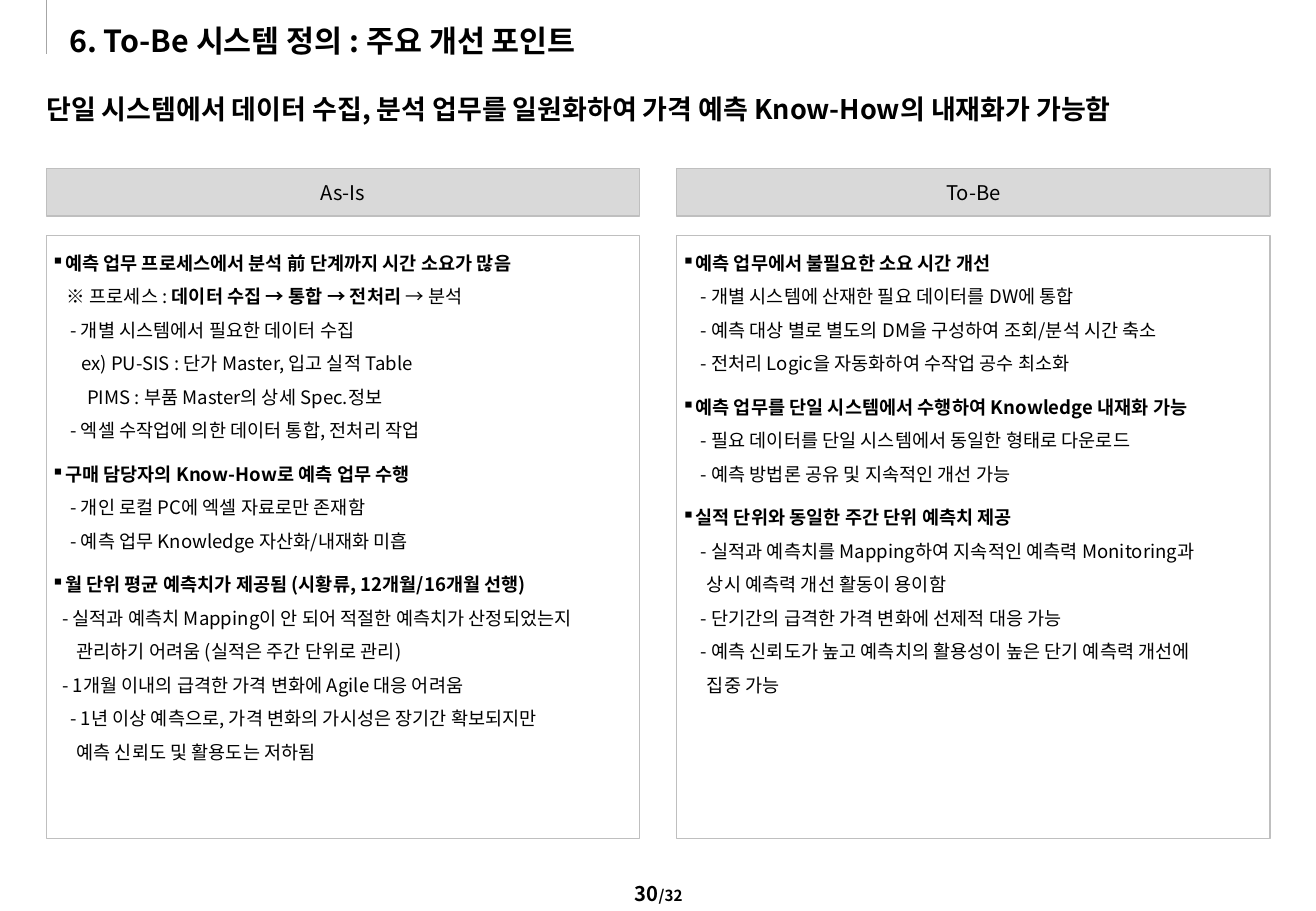
from pptx import Presentation
from pptx.dml.color import RGBColor
from pptx.enum.shapes import MSO_CONNECTOR as Link, MSO_SHAPE as Kind
from pptx.enum.text import MSO_ANCHOR as Anchor, PP_ALIGN as Align
from pptx.oxml.ns import qn
from pptx.util import Cm, Pt
from lxml.etree import SubElement as Sub

BLACK = RGBColor(0x00, 0x00, 0x00)
PALE = RGBColor(0xD9, 0xD9, 0xD9)
EDGE = RGBColor(0xBF, 0xBF, 0xBF)
RULE = RGBColor(0xA6, 0xA6, 0xA6)
FONT = "Noto Sans CJK KR"

LEFT = 0.97
WIDTH = 12.4
STEP = 13.18
HEAD, NOTE, DASH, NEAR, REST = 0, 0.33, 0.4, 0.23, 0.53

panes = [
    ("As-Is", [
        (HEAD, "예측 업무 프로세스에서 분석 前 단계까지 시간 소요가 많음"),
        (NOTE, "※ 프로세스 : ", "데이터 수집 → 통합 → 전처리", " → 분석"),
        (DASH, "- 개별 시스템에서 필요한 데이터 수집"),
        (0.63, "ex) PU-SIS : 단가 Master, 입고 실적 Table"),
        (0.75, "PIMS : 부품 Master의 상세 Spec.정보"),
        (DASH, "- 엑셀 수작업에 의한 데이터 통합, 전처리 작업"),
        (HEAD, "구매 담당자의 Know-How로 예측 업무 수행"),
        (DASH, "- 개인 로컬 PC에 엑셀 자료로만 존재함"),
        (DASH, "- 예측 업무 Knowledge 자산화/내재화 미흡"),
        (HEAD, "월 단위 평균 예측치가 제공됨 (시황류, 12개월/16개월 선행)"),
        (NEAR, "- 실적과 예측치 Mapping이 안 되어 적절한 예측치가 산정되었는지"),
        (REST, "관리하기 어려움 (실적은 주간 단위로 관리)"),
        (NEAR, "- 1개월 이내의 급격한 가격 변화에 Agile 대응 어려움"),
        (DASH, "- 1년 이상 예측으로, 가격 변화의 가시성은 장기간 확보되지만"),
        (REST, "예측 신뢰도 및 활용도는 저하됨"),
    ]),
    ("To-Be", [
        (HEAD, "예측 업무에서 불필요한 소요 시간 개선"),
        (DASH, "- 개별 시스템에 산재한 필요 데이터를 DW에 통합"),
        (DASH, "- 예측 대상 별로 별도의 DM을 구성하여 조회/분석 시간 축소"),
        (DASH, "- 전처리 Logic을 자동화하여 수작업 공수 최소화"),
        (HEAD, "예측 업무를 단일 시스템에서 수행하여 Knowledge 내재화 가능"),
        (DASH, "- 필요 데이터를 단일 시스템에서 동일한 형태로 다운로드"),
        (DASH, "- 예측 방법론 공유 및 지속적인 개선 가능"),
        (HEAD, "실적 단위와 동일한 주간 단위 예측치 제공"),
        (DASH, "- 실적과 예측치를 Mapping하여 지속적인 예측력 Monitoring과"),
        (REST, "상시 예측력 개선 활동이 용이함"),
        (DASH, "- 단기간의 급격한 가격 변화에 선제적 대응 가능"),
        (DASH, "- 예측 신뢰도가 높고 예측치의 활용성이 높은 단기 예측력 개선에"),
        (REST, "집중 가능"),
    ]),
]


def write(para, text, size, bold=False):
    run = para.add_run()
    run.text = text
    run.font.size = Pt(size)
    run.font.bold = bold
    run.font.name = FONT
    run.font.color.rgb = BLACK
    Sub(run.font._element, qn("a:ea"), typeface=FONT)


def frame(shape, pad, anchor):
    body = shape.text_frame
    body.word_wrap = True
    body.vertical_anchor = anchor
    body.margin_left = body.margin_right = Cm(pad)
    body.margin_top = body.margin_bottom = Cm(pad)
    return body


deck = Presentation()
deck.slide_width, deck.slide_height = Cm(27.51), Cm(19.05)
slide = deck.slides.add_slide(deck.slide_layouts[6])
shapes = slide.shapes

bar = shapes.add_connector(Link.STRAIGHT, Cm(LEFT), Cm(0), Cm(LEFT), Cm(1.14))
bar.line.color.rgb = RULE
bar.line.width = Pt(0.75)
Sub(bar._element.spPr, qn("a:effectLst"))

title = shapes.add_textbox(Cm(1.45), Cm(0.46), Cm(18.92), Cm(0.76))
para = frame(title, 0, Anchor.MIDDLE).paragraphs[0]
write(para, "6. To-Be 시스템 정의 : 주요 개선 포인트", 18, True)

lead = shapes.add_textbox(Cm(LEFT), Cm(1.93), Cm(25.6), Cm(1.93))
para = frame(lead, 0, Anchor.TOP).paragraphs[0]
para.line_spacing = Pt(19.2)
write(para, "단일 시스템에서 데이터 수집, 분석 업무를 일원화하여 가격 예측 Know-How의 내재화가 가능함", 16, True)

for col, (name, lines) in enumerate(panes):
    left = Cm(LEFT + col * STEP)
    tab = shapes.add_shape(Kind.FLOWCHART_PROCESS, left, Cm(3.53), Cm(WIDTH), Cm(0.99))
    box = shapes.add_shape(Kind.RECTANGLE, left, Cm(4.93), Cm(WIDTH), Cm(12.6))
    for shape in (tab, box):
        shape.shadow.inherit = False
        shape.line.color.rgb = EDGE
        shape.line.width = Pt(0.75)
    tab.fill.solid()
    tab.fill.fore_color.rgb = PALE
    box.fill.background()

    para = frame(tab, 0.1, Anchor.MIDDLE).paragraphs[0]
    para.alignment = Align.CENTER
    write(para, name, 12)

    body = frame(box, 0.1, Anchor.TOP)
    for row, (dent, *parts) in enumerate(lines):
        para = body.add_paragraph() if row else body.paragraphs[0]
        para.alignment = Align.LEFT
        para.line_spacing = Pt(19.85)
        para.space_before = Pt(6 if row and dent == HEAD else 0)
        props = para._p.get_or_add_pPr()
        props.set("marL", str(Cm(dent or 0.22)))
        if dent == HEAD:
            props.set("indent", str(Cm(-0.22)))
            Sub(props, qn("a:buChar"), char="▪")
        for spot, text in enumerate(parts):
            write(para, text, 11, dent == HEAD or spot == 1)

page = shapes.add_textbox(Cm(10.9), Cm(18.26), Cm(5.74), Cm(0.84))
para = frame(page, 0.1, Anchor.MIDDLE).paragraphs[0]
para.alignment = Align.CENTER
write(para, "30", 12, True)
write(para, "/32", 9, True)

deck.save("out.pptx")
